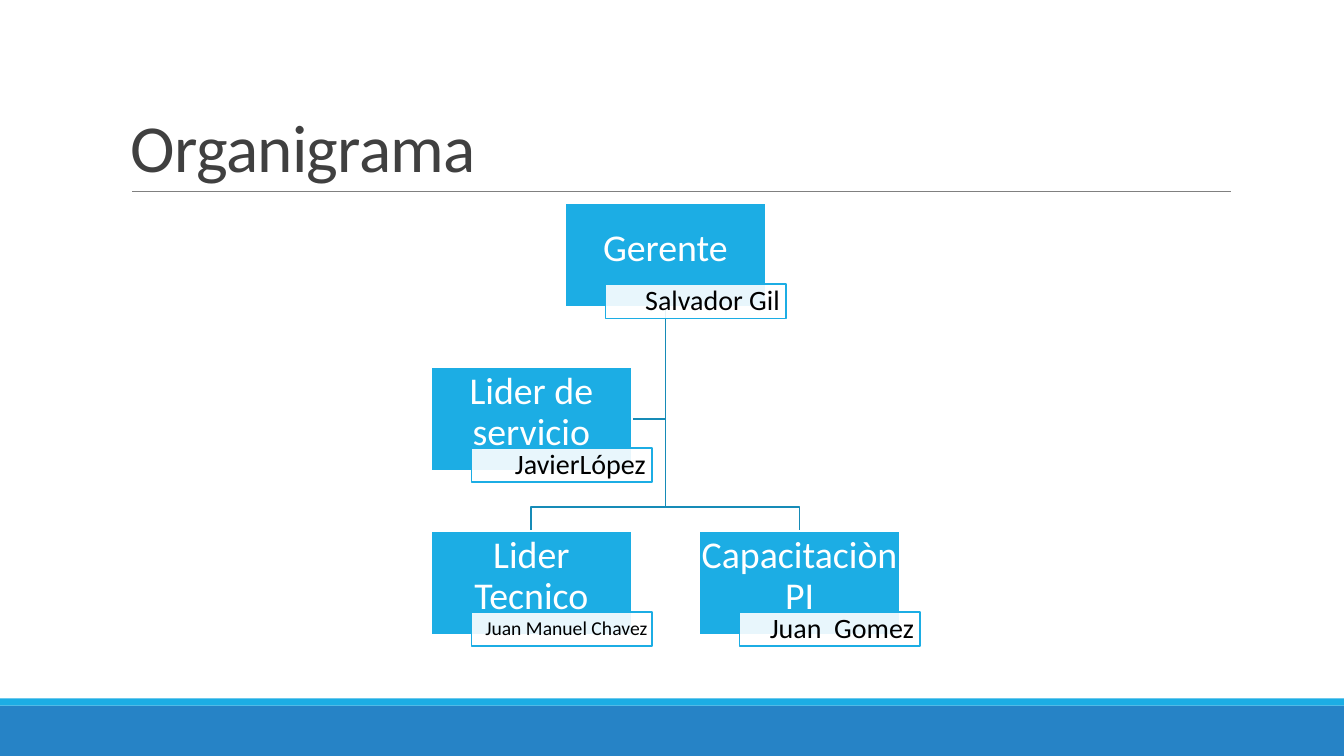
import pptx
import pptx.util
import pptx.dml.color
import pptx.enum.shapes
import pptx.enum.text
import pptx.oxml.ns
import lxml.etree
import dataclasses

Inches = pptx.util.Inches
Align = pptx.enum.text.PP_ALIGN
Anchor = pptx.enum.text.MSO_ANCHOR
Kind = pptx.enum.shapes.MSO_SHAPE


@dataclasses.dataclass(frozen=True)
class Theme:
    font: str = "Calibri"
    blue: str = "1CADE4"
    deep: str = "2683C6"
    link: str = "168BB7"
    rule: str = "808080"
    ink: str = "404040"
    black: str = "000000"
    white: str = "FFFFFF"
    head: int = 48
    role: int = 27
    name: int = 20
    small: int = 14


look = Theme()
title = "Organigrama"
staff = [
    ("Gerente", "Salvador Gil", 0, 0, look.name),
    ("Lider Tecnico", "Juan Manuel Chavez", -1, 2, look.small),
    ("Capacitaciòn PI", "Juan  Gomez", 1, 2, look.name),
    ("Lider de servicio", "JavierLópez", -1, 1, look.name),
]

mid, top = 6.6, 2.02
step_x, step_y = 1.33, 1.625
box_w, box_h = 1.99, 1.03
tag_w, tag_h = 1.79, 0.34
tag_dx, tag_dy = 0.4, 0.8


def rgb(code):
    return pptx.dml.color.RGBColor.from_string(code)


def put_text(shape, text, size, color, align, anchor, inset, line, after=0, track=0):
    frame = shape.text_frame
    frame.word_wrap = True
    frame.vertical_anchor = anchor
    (frame.margin_left, frame.margin_top,
     frame.margin_right, frame.margin_bottom) = map(Inches, inset)
    para = frame.paragraphs[0]
    para.alignment = align
    para.line_spacing = line
    para.space_after = pptx.util.Pt(after)
    run = para.add_run()
    run.text = text
    run.font.name = look.font
    run.font.size = pptx.util.Pt(size)
    run.font.color.rgb = rgb(color)
    if track:
        run.font._element.set("spc", str(int(track * 100)))


def add_rect(x, y, w, h, fill, line=None, alpha=None):
    rect = slide.shapes.add_shape(Kind.RECTANGLE, *map(Inches, (x, y, w, h)))
    rect.shadow.inherit = False
    rect.fill.solid()
    rect.fill.fore_color.rgb = rgb(fill)
    if line:
        rect.line.color.rgb = rgb(line)
        rect.line.width = pptx.util.Pt(1.25)
    else:
        rect.line.fill.background()
    if alpha:
        tone = rect.fill._xPr.find(".//" + pptx.oxml.ns.qn("a:srgbClr"))
        lxml.etree.SubElement(tone, pptx.oxml.ns.qn("a:alpha"), val=str(alpha * 1000))
    return rect


def add_link(points):
    spots = [(Inches(x), Inches(y)) for x, y in points]
    pen = slide.shapes.build_freeform(*spots[0], scale=1.0)
    pen.add_line_segments(spots[1:], close=False)
    link = pen.convert_to_shape()
    link.shadow.inherit = False
    link.fill.background()
    link.line.color.rgb = rgb(look.link)
    link.line.width = pptx.util.Pt(1.25)


def add_card(role, name, col, row, size):
    x, y = mid + col * step_x - box_w / 2, top + row * step_y
    box = add_rect(x, y, box_w, box_h, look.blue, look.white)
    put_text(box, role, look.role, look.white, Align.CENTER, Anchor.MIDDLE,
             (0.02, 0.02, 0.02, 0.15), 0.9, after=look.role * 0.35)
    tag = add_rect(x + tag_dx, y + tag_dy, tag_w, tag_h, look.white, look.blue, 90)
    side = size * 0.003
    put_text(tag, name, size, look.black, Align.RIGHT, Anchor.MIDDLE,
             (side, 0.01, side, 0.01), 0.9, after=size * 0.35)


deck = pptx.Presentation()
deck.slide_width, deck.slide_height = Inches(13.33), Inches(7.5)
slide = deck.slides.add_slide(deck.slide_layouts[6])

add_rect(0, 7, 13.33, 0.5, look.deep)
add_rect(0, 6.93, 13.33, 0.07, look.blue)
rule = slide.shapes.add_connector(
    pptx.enum.shapes.MSO_CONNECTOR.STRAIGHT, *map(Inches, (1.31, 1.9, 12.21, 1.9)))
rule.line.color.rgb = rgb(look.rule)
rule.line.width = pptx.util.Pt(0.5)
lxml.etree.SubElement(rule._element.spPr, pptx.oxml.ns.qn("a:effectLst"))

head = slide.shapes.add_textbox(*map(Inches, (1.2, 0.31, 11, 1.59)))
put_text(head, title, look.head, look.ink, Align.LEFT, Anchor.BOTTOM,
         (0.1, 0.05, 0.1, 0.05), 0.85, track=-0.5)

base = top + box_h
low = top + 2 * step_y
bend = low - 0.24
aide = top + step_y + box_h / 2
add_link([(mid, base), (mid, aide), (mid - step_x + box_w / 2, aide)])
for col in (1, -1):
    end = mid + col * step_x
    add_link([(mid, base), (mid, bend), (end, bend), (end, low)])
for card in staff:
    add_card(*card)

deck.save("out.pptx")
